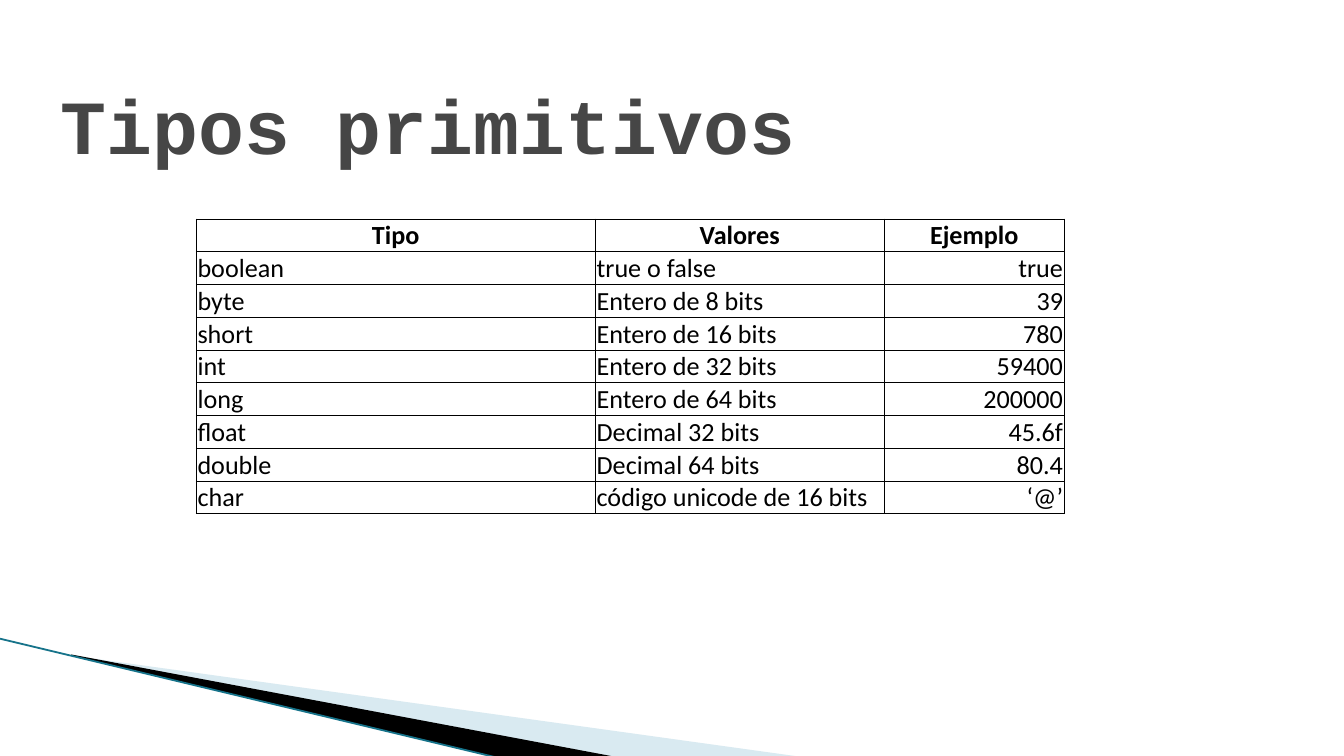
from lxml import etree
from pptx import Presentation
from pptx.dml.color import RGBColor
from pptx.enum.shapes import MSO_CONNECTOR
from pptx.enum.text import MSO_ANCHOR, MSO_AUTO_SIZE, PP_ALIGN
from pptx.oxml import parse_xml
from pptx.oxml.ns import nsdecls, qn
from pptx.util import Inches, Pt

BLACK = RGBColor(0x00, 0x00, 0x00)
GRAY = RGBColor(0x46, 0x46, 0x46)
PALE_BLUE = RGBColor(0xA0, 0xCB, 0xDC)
TEAL = RGBColor(0x16, 0x73, 0x8A)

# 16:9 slide
prs = Presentation()
prs.slide_width = Inches(10)
prs.slide_height = Inches(10) * 9 // 16
s = prs.slides.add_slide(prs.slide_layouts[5])


def add_wedge(points, color):
    points = [(Inches(x), Inches(y)) for x, y in points]
    builder = s.shapes.build_freeform(*points[0], scale=1.0)
    builder.add_line_segments(points[1:], close=True)
    sp = builder.convert_to_shape()
    sp.shadow.inherit = False
    sp.fill.solid()
    sp.fill.fore_color.rgb = color
    sp.line.fill.background()
    return sp


def add_borders(cell):
    tc_pr = cell._tc.get_or_add_tcPr()
    for side in ("lnL", "lnR", "lnT", "lnB"):
        tc_pr.append(parse_xml(
            f'<a:{side} {nsdecls("a")} w="{Pt(0.5)}"><a:solidFill>'
            f'<a:srgbClr val="{BLACK}"/></a:solidFill></a:{side}>'))


# Corner decoration
pale = add_wedge([(0.55, 4.88), (5.95, 5.63), (4.56, 5.63)], PALE_BLUE)
color = pale.fill._xPr.find(".//" + qn("a:srgbClr"))
etree.SubElement(color, qn("a:alpha"), val="40000")
add_wedge([(0.53, 4.87), (4.57, 5.63), (3.72, 5.64), (0.54, 4.88)], BLACK)

edge = s.shapes.add_connector(MSO_CONNECTOR.STRAIGHT, Inches(-0.01), Inches(4.75),
                              Inches(3.71), Inches(5.64))
edge.line.color.rgb = TEAL
edge.line.width = Pt(0.95)
etree.SubElement(edge._element.spPr, qn("a:effectLst"))

# Title
title = s.shapes.title
title.left, title.top = Inches(0.35), Inches(0.53)
title.width, title.height = Inches(8.9), Inches(0.89)
tf = title.text_frame
tf.text = "Tipos primitivos"
tf.auto_size = MSO_AUTO_SIZE.NONE
tf.vertical_anchor = MSO_ANCHOR.MIDDLE
tf.margin_bottom = Inches(0.15)
p = tf.paragraphs[0]
p.alignment = PP_ALIGN.LEFT
r = p.runs[0]
for name, value in {"name": "Courier New", "size": Pt(41), "bold": True}.items():
    setattr(r.font, name, value)
r.font.color.rgb = GRAY

# Table of primitive types
rows = [
    ("Tipo", "Valores", "Ejemplo"),
    ("boolean", "true o false", "true"),
    ("byte", "Entero de 8 bits", "39"),
    ("short", "Entero de 16 bits", "780"),
    ("int", "Entero de 32 bits", "59400"),
    ("long", "Entero de 64 bits", "200000"),
    ("float", "Decimal 32 bits", "45.6f"),
    ("double", "Decimal 64 bits", "80.4"),
    ("char", "código unicode de 16 bits", "‘@’"),
]
widths = [2.97, 2.15, 1.34]
aligns = [PP_ALIGN.LEFT, PP_ALIGN.LEFT, PP_ALIGN.RIGHT]
cell_format = {
    "margin_left": Inches(0.01), "margin_right": Inches(0.01),
    "margin_top": Pt(0.5), "margin_bottom": 0,
    "vertical_anchor": MSO_ANCHOR.BOTTOM,
}
row_height = Inches(0.23)
table = s.shapes.add_table(len(rows), len(widths), Inches(1.46), Inches(1.63),
                           Inches(sum(widths)), row_height * len(rows)).table
for column, width in zip(table.columns, widths):
    column.width = Inches(width)
for i, row in enumerate(rows):
    for j, text in enumerate(row):
        cell = table.cell(i, j)
        for name, value in cell_format.items():
            setattr(cell, name, value)
        add_borders(cell)
        cell.fill.background()
        cell.text = text
        p = cell.text_frame.paragraphs[0]
        p.alignment = PP_ALIGN.CENTER if i == 0 else aligns[j]
        r = p.runs[0]
        for name, value in {"name": "Calibri", "size": Pt(14), "bold": i == 0}.items():
            setattr(r.font, name, value)
        r.font.color.rgb = BLACK

prs.save("out.pptx")
